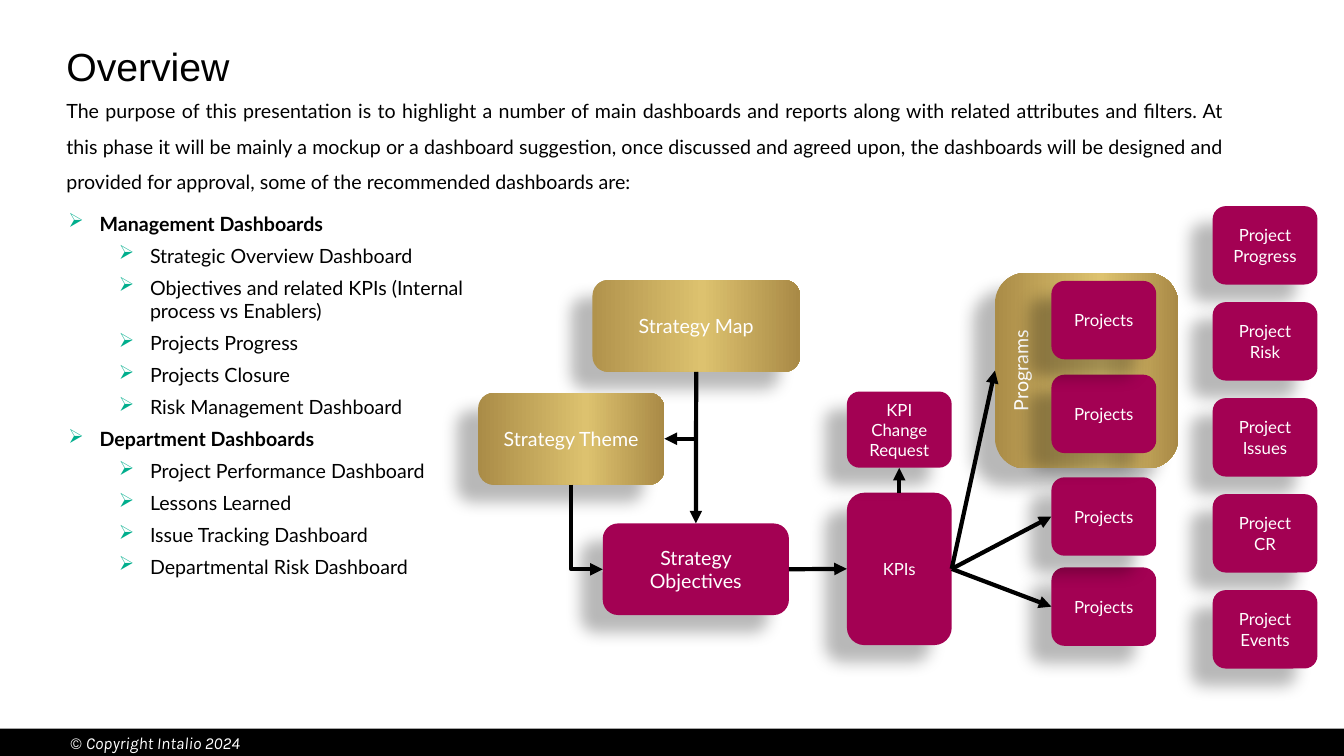
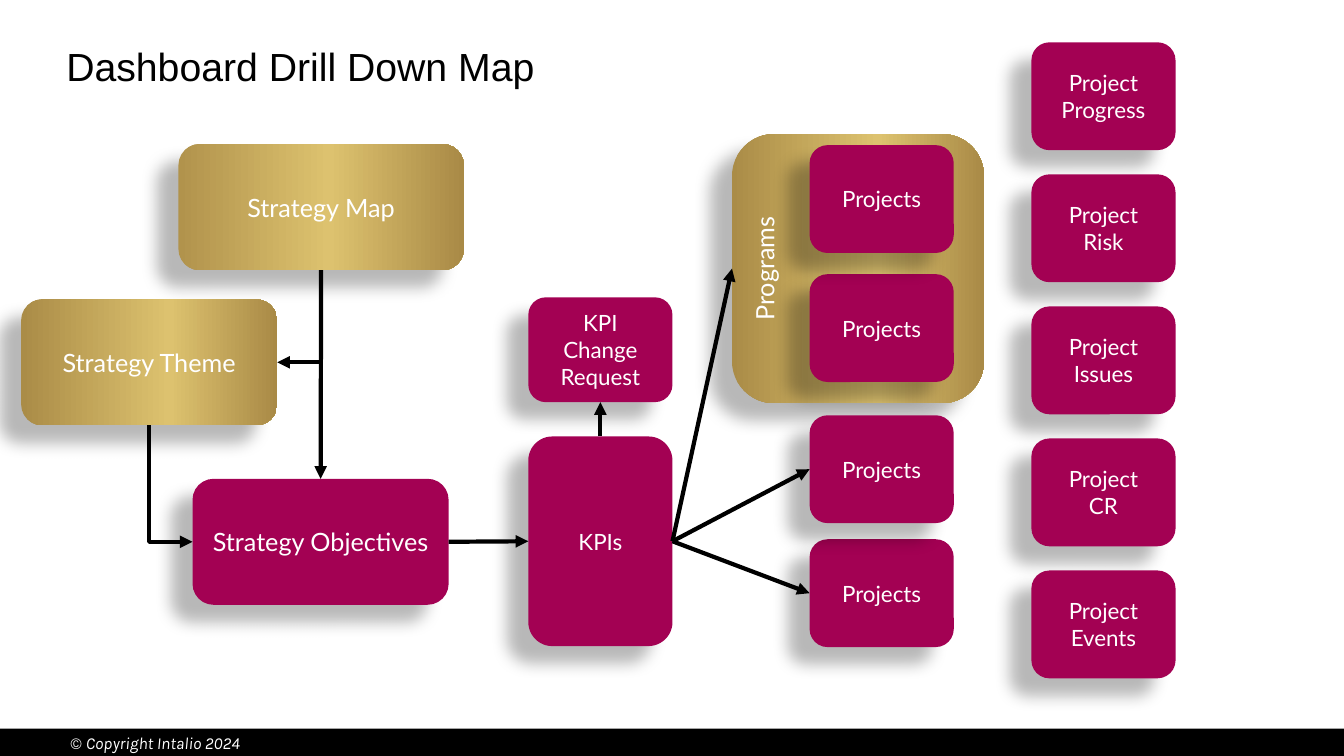
"""Build the overview and drill-down map slides of a dashboard presentation."""
from dataclasses import dataclass

from lxml import etree
from pptx import Presentation
from pptx.dml.color import RGBColor
from pptx.enum import shapes, text
from pptx.oxml import parse_xml
from pptx.oxml.ns import nsdecls, qn
from pptx.util import Inches, Pt


@dataclass(frozen=True)
class Theme:
    """Colours, fonts and type sizes shared by the slides."""

    black: str = "000000"
    white: str = "FFFFFF"
    plum: str = "A30153"
    bullet: str = "00AE8D"
    gold: tuple = ((0, "AA8C47"), (58, "DDC26F"), (100, "A98A46"))
    map_gold: tuple = ((0, "B1934C"), (53, "DDC26F"), (100, "A98A46"))
    title_font: str = "Arial"
    body_font: str = "Lato"
    footer_font: str = "Karla"
    title_size: int = 28
    body_size: int = 14
    footer_size: int = 12
    line_width: int = 3


@dataclass(frozen=True)
class View:
    """Placement and type sizes of the drill-down map on a slide."""

    left: float
    top: float
    scale: float
    large: int
    small: int


THEME = Theme()
FULL_VIEW = View(0, 0, 1, 18, 16)
SMALL_VIEW = View(4.59, 1.74, 0.727, 14, 12)
TOP, LEFT, BOTTOM, RIGHT = range(4)

INTRO = (
    "The purpose of this presentation is to highlight a number of main dashboards "
    "and reports along with related attributes and filters. At this phase it will be "
    "mainly a mockup or a dashboard suggestion, once discussed and agreed upon, the "
    "dashboards will be designed and provided for approval, some of the recommended "
    "dashboards are:"
)
DASHBOARDS = {
    "Management Dashboards": (
        "Strategic Overview Dashboard",
        "Objectives and related KPIs (Internal process vs Enablers)",
        "Projects Progress",
        "Projects Closure",
        "Risk Management Dashboard",
    ),
    "Department Dashboards": (
        "Project Performance Dashboard",
        "Lessons Learned",
        "Issue Tracking Dashboard",
        "Departmental Risk Dashboard",
    ),
}
STRATEGY_BOXES = (
    ("Strategy Map", (1.77, 1.43, 2.83, 1.25), THEME.map_gold),
    ("Strategy Theme", (0.21, 2.97, 2.54, 1.25), THEME.gold),
    ("Strategy Objectives", (1.91, 4.75, 2.54, 1.25), THEME.plum),
)
KPI_BOXES = (
    ("KPIs", (5.24, 4.33, 1.43, 2.08)),
    ("KPI Change Request", (5.24, 2.95, 1.43, 1.04)),
)
PROGRAMS_BOX = (7.26, 1.33, 2.5, 2.67)
PROJECT_TOPS = (5.35, 4.12, 2.72, 1.44)
REPORTS = ("Project Progress", "Project Risk", "Project Issues", "Project\nCR", "Project\nEvents")
CARD_SIZE = (1.43, 1.07)
PROJECT_LEFT = 8.03
REPORT_LEFT, REPORT_TOP, REPORT_STEP = 10.23, 0.42, 1.31


def add_run(p, words, *, size, font=THEME.body_font, color=THEME.black, bold=False, italic=False):
    """Add formatted text to a paragraph."""
    r = p.add_run()
    r.text = words
    r.font.name, r.font.size = font, Pt(size)
    r.font.bold, r.font.italic = bold, italic
    r.font.color.rgb = RGBColor.from_string(color)


def add_textbox(slide, box, anchor=text.MSO_ANCHOR.TOP):
    """Add a wrapping text box and return its text frame."""
    tf = slide.shapes.add_textbox(*map(Inches, box)).text_frame
    tf.word_wrap = True
    tf.vertical_anchor = anchor
    return tf


def add_bullet(p, level, indent):
    """Give a paragraph an arrow bullet with a hanging indent."""
    p.level = level
    pPr = p._p.get_or_add_pPr()
    pPr.set("marL", str(Inches(indent)))
    pPr.set("indent", str(Inches(-0.31)))
    color = etree.SubElement(pPr, qn("a:buClr"))
    etree.SubElement(color, qn("a:srgbClr"), val=THEME.bullet)
    etree.SubElement(pPr, qn("a:buChar"), char="➢")


def set_fill(sp, fill):
    """Fill a shape with one colour or with gradient stops."""
    if isinstance(fill, str):
        sp.fill.solid()
        sp.fill.fore_color.rgb = RGBColor.from_string(fill)
        return
    sp.fill.gradient()
    sp.fill.gradient_angle = 0
    stops = sp._element.spPr.find(qn("a:gradFill")).find(qn("a:gsLst"))
    for old in list(stops):
        stops.remove(old)
    for position, color in fill:
        stop = etree.SubElement(stops, qn("a:gs"), pos=str(position * 1000))
        etree.SubElement(stop, qn("a:srgbClr"), val=color)


def add_shadow(sp):
    """Cast a soft shadow to the lower left of a shape."""
    sp.shadow.inherit = False
    effects = sp._element.spPr.find(qn("a:effectLst"))
    effects.append(parse_xml(
        f'<a:outerShdw {nsdecls("a")} blurRad="{Pt(11.8)}" dist="{Pt(19.7)}" '
        f'dir="{141 * 60000}" algn="ctr" rotWithShape="0">'
        f'<a:srgbClr val="{THEME.black}"><a:alpha val="28000"/></a:srgbClr></a:outerShdw>'
    ))


def add_card(slide, view, words, box, *, size, fill=THEME.plum, vertical=False):
    """Add a rounded map box with a shadow and centred text."""
    x, y, w, h = (value * view.scale for value in box)
    frame = map(Inches, (view.left + x, view.top + y, w, h))
    sp = slide.shapes.add_shape(shapes.MSO_SHAPE.ROUNDED_RECTANGLE, *frame)
    set_fill(sp, fill)
    sp.line.fill.background()
    add_shadow(sp)
    tf = sp.text_frame
    tf.word_wrap = True
    tf.vertical_anchor = text.MSO_ANCHOR.TOP if vertical else text.MSO_ANCHOR.MIDDLE
    if vertical:
        tf._txBody.bodyPr.set("vert", "vert270")
    for i, line in enumerate(words.split("\n")):
        p = tf.add_paragraph() if i else tf.paragraphs[0]
        p.alignment = text.PP_ALIGN.CENTER
        add_run(p, line, size=size, color=THEME.white)
    return sp


def add_arrow(slide, start, start_site, end, end_site, bent=False):
    """Join two boxes with an arrow, bent ones leaving vertically."""
    kind = shapes.MSO_CONNECTOR.ELBOW if bent else shapes.MSO_CONNECTOR.STRAIGHT
    sp = slide.shapes.add_connector(kind, 0, 0, 0, 0)
    sp.begin_connect(start, start_site)
    sp.end_connect(end, end_site)
    sp.line.color.rgb = RGBColor.from_string(THEME.black)
    sp.line.width = Pt(THEME.line_width)
    etree.SubElement(sp.line._get_or_add_ln(), qn("a:tailEnd"), type="triangle")
    spPr = sp._element.spPr
    etree.SubElement(spPr, qn("a:effectLst"))
    if bent:
        turn_elbow(sp, spPr)


def turn_elbow(sp, spPr):
    """Turn a connector into a single bend, vertical part first."""
    leftward = sp.end_x < sp.begin_x
    x, y, w, h = sp.left, sp.top, sp.width, sp.height
    spPr.find(qn("a:prstGeom")).set("prst", "bentConnector2")
    xfrm = spPr.find(qn("a:xfrm"))
    xfrm.attrib.clear()
    xfrm.set("rot", str((90 if leftward else 270) * 60000))
    if not leftward:
        xfrm.set("flipH", "1")
    sp.left, sp.top = x + (w - h) // 2, y + (h - w) // 2
    sp.width, sp.height = h, w


def add_map(slide, view):
    """Draw the drill-down map from strategy to project reports."""
    strategy, theme, objectives = [
        add_card(slide, view, words, box, size=view.large, fill=fill)
        for words, box, fill in STRATEGY_BOXES
    ]
    kpis, change = [add_card(slide, view, words, box, size=view.small) for words, box in KPI_BOXES]
    programs = add_card(
        slide, view, "Programs", PROGRAMS_BOX, size=view.large, fill=THEME.gold, vertical=True
    )
    projects = [
        add_card(slide, view, "Projects", (PROJECT_LEFT, top, *CARD_SIZE), size=view.small)
        for top in PROJECT_TOPS
    ]
    for i, words in enumerate(REPORTS):
        box = (REPORT_LEFT, REPORT_TOP + i * REPORT_STEP, *CARD_SIZE)
        add_card(slide, view, words, box, size=view.small)

    add_arrow(slide, strategy, BOTTOM, theme, RIGHT, bent=True)
    add_arrow(slide, strategy, BOTTOM, objectives, TOP)
    add_arrow(slide, theme, BOTTOM, objectives, LEFT, bent=True)
    add_arrow(slide, objectives, RIGHT, kpis, LEFT)
    add_arrow(slide, kpis, TOP, change, BOTTOM)
    for target in (programs, *projects[:2]):
        add_arrow(slide, kpis, RIGHT, target, LEFT)


def add_intro(slide):
    """Add the justified introduction."""
    p = add_textbox(slide, (0.56, 0.82, 11.68, 1.12)).paragraphs[0]
    p.alignment = text.PP_ALIGN.JUSTIFY
    p.line_spacing = 1.5
    p.space_after = Pt(6)
    add_run(p, INTRO, size=THEME.body_size)


def add_dashboard_list(slide):
    """Add the two-level list of recommended dashboards."""
    tf = add_textbox(slide, (0.08, 2.05, 5.24, 4.13))
    rows = [
        (words, words == group)
        for group, items in DASHBOARDS.items()
        for words in (group, *items)
    ]
    for i, (words, heading) in enumerate(rows):
        p = tf.add_paragraph() if i else tf.paragraphs[0]
        add_bullet(p, 1 if heading else 2, 0.81 if heading else 1.31)
        p.space_before = Pt(3 if i else 0)
        p.space_after = Pt(3)
        add_run(p, words, size=THEME.body_size, bold=heading)


def add_page(prs, title):
    """Add a blank slide with the footer band and a title."""
    slide = prs.slides.add_slide(prs.slide_layouts[6])
    band = slide.shapes.add_shape(
        shapes.MSO_SHAPE.RECTANGLE, *map(Inches, (0, 7.23, 13.33, 0.27))
    )
    set_fill(band, THEME.black)
    band.line.fill.background()
    band.shadow.inherit = False
    p = add_textbox(slide, (0.6, 7.22, 5.9, 0.3)).paragraphs[0]
    style = {"size": THEME.footer_size, "font": THEME.footer_font, "color": THEME.white}
    add_run(p, "© ", **style)
    add_run(p, "Copyright Intalio 2024", italic=True, **style)
    p = add_textbox(slide, (0.56, 0.32, 12.77, 0.72), text.MSO_ANCHOR.MIDDLE).paragraphs[0]
    p.line_spacing = 0.9
    add_run(p, title, size=THEME.title_size, font=THEME.title_font)
    return slide


def main():
    """Build and save the presentation."""
    prs = Presentation()
    prs.slide_width, prs.slide_height = Inches(13.33), Inches(7.5)
    overview = add_page(prs, "Overview")
    add_intro(overview)
    add_map(overview, SMALL_VIEW)
    add_dashboard_list(overview)
    add_map(add_page(prs, "Dashboard Drill Down Map"), FULL_VIEW)
    prs.save("out.pptx")


if __name__ == "__main__":
    main()
